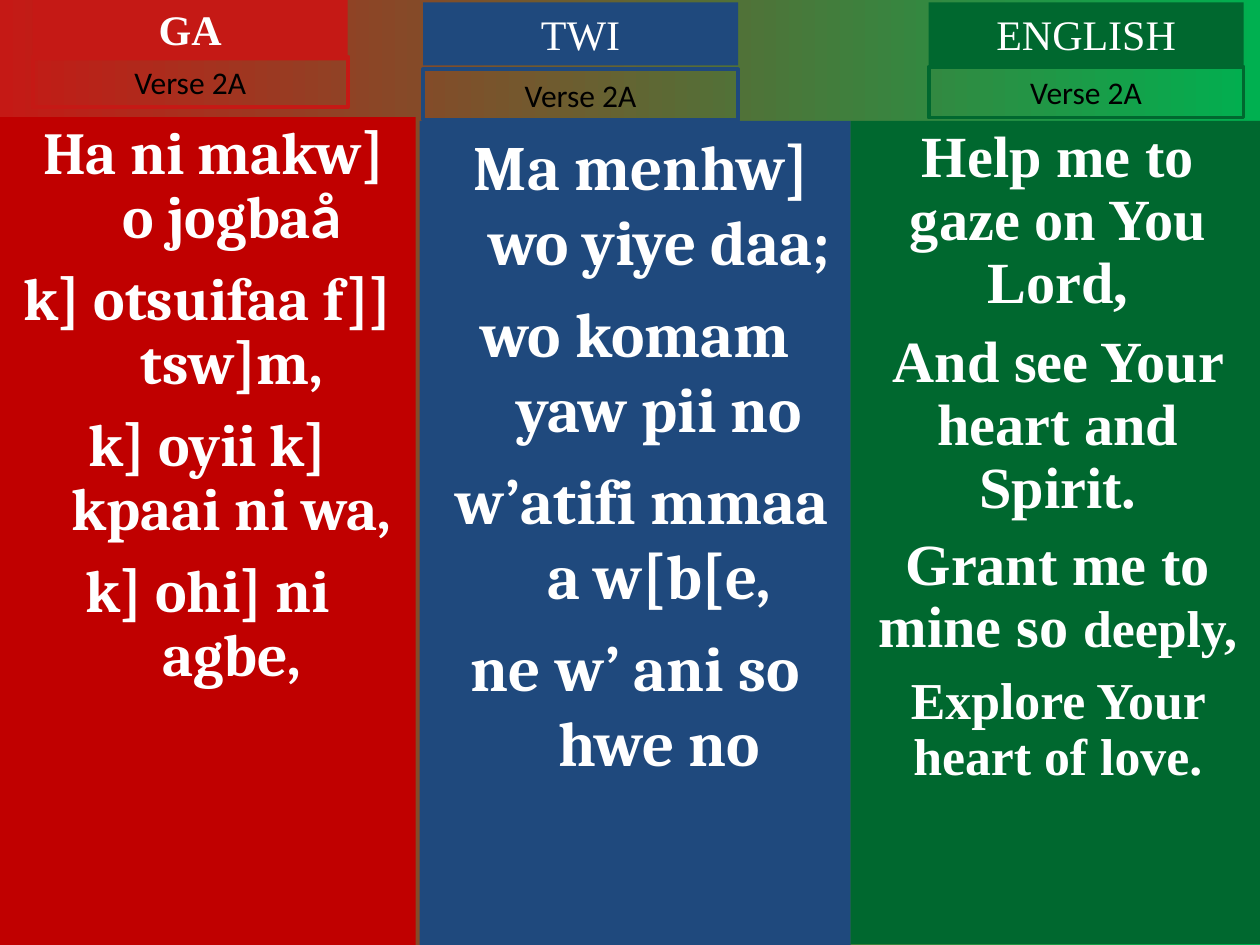
import pptx
import pptx.util
import pptx.dml.color
import pptx.enum.dml
import pptx.enum.shapes
import pptx.enum.text

Cm = pptx.util.Cm
Pt = pptx.util.Pt
RGBColor = pptx.dml.color.RGBColor

WHITE = RGBColor(0xFF, 0xFF, 0xFF)
BLACK = RGBColor(0x00, 0x00, 0x00)
RED = RGBColor(0xC5, 0x19, 0x15)
DARK_RED = RGBColor(0xC0, 0x00, 0x00)
BLUE = RGBColor(0x1F, 0x49, 0x7D)
GREEN = RGBColor(0x00, 0x68, 0x2F)
BRIGHT_GREEN = RGBColor(0x00, 0xB0, 0x50)

SERIF = "Times New Roman"
LABEL_WIDTH = 6.35
HANG = 0.97


class LyricsSlide:
    def __init__(self, page):
        self.page = page

    def background(self, start, end):
        fill = self.page.background.fill
        fill.gradient()
        fill.gradient_angle = 0
        for stop, color, position in zip(fill.gradient_stops, (start, end), (0, 1)):
            stop.color.rgb = color
            stop.position = position

    def box(self, left, top, width, height):
        box = self.page.shapes.add_shape(
            pptx.enum.shapes.MSO_SHAPE.RECTANGLE,
            Cm(left), Cm(top), Cm(width), Cm(height))
        box.shadow.inherit = False
        box.fill.background()
        box.line.fill.background()
        frame = box.text_frame
        frame.word_wrap = True
        frame.vertical_anchor = pptx.enum.text.MSO_ANCHOR.TOP
        return box

    def span(self, para, text, size, font, color, bold=False):
        span = para.add_run()
        span.text = text
        span.font.size = Pt(size)
        span.font.name = font
        span.font.bold = bold
        span.font.color.rgb = color

    def label(self, left, top, height, text, size, font, color, bold=False):
        box = self.box(left, top, LABEL_WIDTH, height)
        box.text_frame.auto_size = pptx.enum.text.MSO_AUTO_SIZE.SHAPE_TO_FIT_TEXT
        para = box.text_frame.paragraphs[0]
        para.alignment = pptx.enum.text.PP_ALIGN.CENTER
        self.span(para, text, size, font, color, bold)
        return box

    def heading(self, left, top, text, color, bold=False):
        box = self.label(left, top, 1.27, text, 24, SERIF, WHITE, bold)
        box.fill.solid()
        box.fill.fore_color.rgb = color

    def verse_label(self, left, top, color):
        box = self.label(left, top, 1.02, "Verse 2A", 18, "Calibri", BLACK)
        box.line.color.rgb = color
        box.line.width = Pt(2.25)

    def lyrics(self, place, color, lines, spacing, gaps, hang=0):
        box = self.box(*place)
        box.fill.solid()
        box.fill.fore_color.rgb = color
        frame = box.text_frame
        for index, (line, gap) in enumerate(zip(lines, gaps)):
            para = frame.add_paragraph() if index else frame.paragraphs[0]
            para.alignment = pptx.enum.text.PP_ALIGN.CENTER
            para.line_spacing = spacing
            if index:
                para.space_before = Pt(gap)
            if hang:
                properties = para._p.get_or_add_pPr()
                properties.set("marL", str(Cm(hang)))
                properties.set("indent", str(-Cm(hang)))
            for text, size, font in line:
                self.span(para, text, size, font, WHITE, True)


def main():
    deck = pptx.Presentation()
    deck.slide_width = Cm(25.4)
    deck.slide_height = Cm(19.05)
    slide = LyricsSlide(deck.slides.add_slide(deck.slide_layouts[6]))
    slide.background(RED, BRIGHT_GREEN)

    ga = [
        [(" ", 30.6, "Cambria"), ("Ha ni makw] o jogba", 34, "Cambria"),
         ("å", 34, "Lato")],
        [("k] otsuifaa f]] tsw]m,", 34, "Cambria")],
        [("k] oyii k] kpaai ni wa,", 34, "Cambria")],
        [("k] ohi] ni agbe,", 34, "Cambria")],
    ]
    twi = [
        [(" ", 32, "Cambria"), ("Ma menhw] wo yiye daa;", 36, "Cambria")],
        [("wo komam yaw pii no", 36, "Cambria")],
        [(" w’atifi mmaa a w[b[e,", 36, "Cambria")],
        [("ne w’ ani so hwe no", 36, "Cambria")],
    ]
    english = [
        [("Help me to gaze on You Lord,", 33.3, SERIF)],
        [("And see Your heart and Spirit.", 33.3, SERIF)],
        [("Grant me to mine so ", 33.3, SERIF), ("deeply,", 29.6, SERIF)],
        [("Explore Your heart of love.", 29.6, SERIF)],
    ]
    slide.lyrics((0, 2.36, 8.38, 16.69), DARK_RED, ga, 0.9, [10] * 4, HANG)
    slide.lyrics((8.46, 2.44, 8.69, 16.61), BLUE, twi, 1.0, [9] * 4, HANG)
    slide.lyrics((17.15, 2.44, 8.36, 16.59), GREEN, english, 0.9, [9, 9, 8, 8])

    for left, top, verse_top, text, color, bold in (
            (0.66, -0.05, 1.14, "GA", RED, True),
            (8.53, 0.05, 1.4, "TWI", BLUE, False),
            (18.72, 0.05, 1.35, "ENGLISH", GREEN, False)):
        slide.heading(left, top, text, color, bold)
        slide.verse_label(left, verse_top, color)

    deck.save("out.pptx")


if __name__ == "__main__":
    main()
